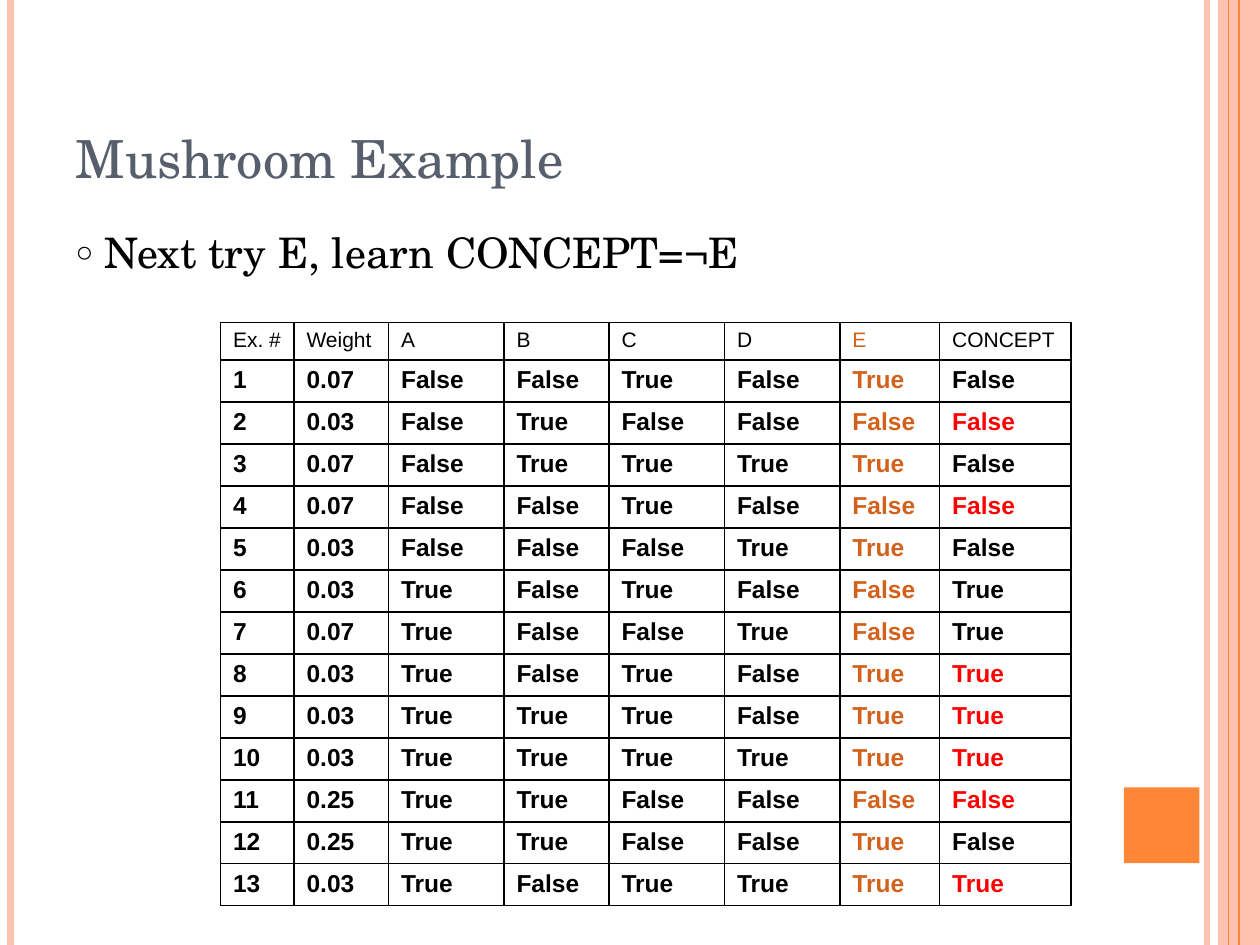
from dataclasses import dataclass
from lxml.etree import SubElement
from pptx import Presentation
from pptx.dml.color import RGBColor
from pptx.enum.shapes import MSO_CONNECTOR, MSO_SHAPE
from pptx.enum.text import MSO_ANCHOR, MSO_AUTO_SIZE, PP_ALIGN
from pptx.oxml.ns import qn
from pptx.slide import Slide
from pptx.util import Pt


@dataclass(frozen=True)
class Theme:
    serif: str = "TeX Gyre Schola"
    sans: str = "Arial"
    title: str = "575F6D"
    text: str = "000000"
    peach: str = "FEC2AE"
    orange: str = "FE8637"
    rust: str = "D2611C"
    red: str = "FF0000"
    head_size: float = 30
    body_size: float = 24
    label_size: float = 12
    cell_size: float = 14


@dataclass(frozen=True)
class Stripe:
    x: float
    color: str
    width: float


@dataclass(frozen=True)
class Block:
    left: float
    top: float
    width: float
    height: float
    color: str


THEME = Theme()
WIDTH, HEIGHT = 720, 540
STRIPES = [
    Stripe(689.8, THEME.peach, 3),
    Stripe(6, THEME.peach, 4.5),
    Stripe(708, THEME.orange, 1.5),
    Stripe(702, THEME.orange, 0.75),
]
BLOCKS = [
    Block(696, 0, 24, HEIGHT, THEME.peach),
    Block(642.2, 450, 43.2, 43.2, THEME.orange),
]
LABELS = ["Ex. #", "Weight", "A", "B", "C", "D", "E", "CONCEPT"]
COLS = [42, 54, 66, 60, 66, 66, 57, 75]
HEAD_ROW, DATA_ROW = 21.6, 24
# Weight, then the values of A to E and CONCEPT
DATA = [
    ("0.07", "FFTFTF"),
    ("0.03", "FTFFFF"),
    ("0.07", "FTTTTF"),
    ("0.07", "FFTFFF"),
    ("0.03", "FFFTTF"),
    ("0.03", "TFTFFT"),
    ("0.07", "TFFTFT"),
    ("0.03", "TFTFTT"),
    ("0.03", "TTTFTT"),
    ("0.03", "TTTTTT"),
    ("0.25", "TTFFFF"),
    ("0.25", "TTFFTF"),
    ("0.03", "TFTTTT"),
]
WORDS = {"T": "True", "F": "False"}


def style(font, name: str, size: float, color: str, bold: bool = False) -> None:
    font.name, font.size, font.bold = name, Pt(size), bold
    font.color.rgb = RGBColor.from_string(color)


def place(shape, left: float, top: float, width: float, height: float) -> None:
    shape.left, shape.top = Pt(left), Pt(top)
    shape.width, shape.height = Pt(width), Pt(height)


def add_stripe(slide: Slide, stripe: Stripe) -> None:
    x = Pt(stripe.x)
    line = slide.shapes.add_connector(MSO_CONNECTOR.STRAIGHT, x, 0, x, Pt(HEIGHT))
    line.line.color.rgb = RGBColor.from_string(stripe.color)
    line.line.width = Pt(stripe.width)
    SubElement(line._element.spPr, qn("a:effectLst"))


def add_block(slide: Slide, block: Block) -> None:
    box = (block.left, block.top, block.width, block.height)
    shape = slide.shapes.add_shape(MSO_SHAPE.RECTANGLE, *map(Pt, box))
    shape.shadow.inherit = False
    shape.fill.solid()
    shape.fill.fore_color.rgb = RGBColor.from_string(block.color)
    shape.line.fill.background()


def fill_title(slide: Slide) -> None:
    title = slide.shapes.title
    place(title, 36, 21.6, 588, 90)
    frame = title.text_frame
    frame.text = "Mushroom Example"
    frame.vertical_anchor = MSO_ANCHOR.BOTTOM
    frame.auto_size = MSO_AUTO_SIZE.NONE
    para = frame.paragraphs[0]
    para.alignment = PP_ALIGN.LEFT
    style(para.font, THEME.serif, THEME.head_size, THEME.title)


def fill_body(slide: Slide) -> None:
    body = slide.placeholders[1]
    place(body, 36, 126, 588, 384)
    frame = body.text_frame
    frame.auto_size = MSO_AUTO_SIZE.NONE
    para = frame.paragraphs[0]
    para.space_before = Pt(0)
    props = para._p.get_or_add_pPr()
    indent = Pt(16.5)
    props.set("marL", str(indent))
    props.set("indent", str(-indent))
    SubElement(props, qn("a:buSzPct"), val="70000")
    SubElement(props, qn("a:buChar"), char="○")
    style(para.font, THEME.serif, THEME.body_size, THEME.text)
    for text in ("Next try E, learn CONCEPT=", "¬", "E"):
        run = para.add_run()
        run.text = text
        run.font.name = THEME.sans if text == "¬" else THEME.serif


def add_borders(cell) -> None:
    props = cell._tc.get_or_add_tcPr()
    for index, side in enumerate(("lnL", "lnR", "lnT", "lnB")):
        line = props.makeelement(qn(f"a:{side}"), {"w": str(Pt(1))})
        fill = SubElement(line, qn("a:solidFill"))
        SubElement(fill, qn("a:srgbClr"), val=THEME.text)
        props.insert(index, line)


def pick_color(label: str, wrong: bool) -> str:
    if label == "E":
        return THEME.rust
    return THEME.red if wrong and label == "CONCEPT" else THEME.text


def add_grid(slide: Slide) -> None:
    """Draw the examples; CONCEPT is red where it differs from ¬E."""
    rows = [LABELS]
    for number, (weight, flags) in enumerate(DATA, 1):
        rows.append([str(number), weight, *(WORDS[flag] for flag in flags)])
    height = HEAD_ROW + DATA_ROW * len(DATA)
    frame = slide.shapes.add_table(
        len(rows), len(COLS), Pt(126), Pt(184.2), Pt(sum(COLS)), Pt(height)
    )
    table = frame.table
    table.horz_banding = False
    for col, width in zip(table.columns, COLS):
        col.width = Pt(width)
    for r, row in enumerate(rows):
        head = r == 0
        table.rows[r].height = Pt(HEAD_ROW if head else DATA_ROW)
        wrong = row[-2] == row[-1]
        for c, (label, text) in enumerate(zip(LABELS, row)):
            cell = table.cell(r, c)
            cell.text = text
            cell.fill.background()
            add_borders(cell)
            size = THEME.label_size if head else THEME.cell_size
            font = cell.text_frame.paragraphs[0].font
            style(font, THEME.sans, size, pick_color(label, wrong), not head)


def main() -> None:
    deck = Presentation()
    deck.slide_width, deck.slide_height = Pt(WIDTH), Pt(HEIGHT)
    slide = deck.slides.add_slide(deck.slide_layouts[1])
    for block in BLOCKS:
        add_block(slide, block)
    for stripe in STRIPES:
        add_stripe(slide, stripe)
    fill_title(slide)
    fill_body(slide)
    add_grid(slide)
    deck.save("out.pptx")


if __name__ == "__main__":
    main()
